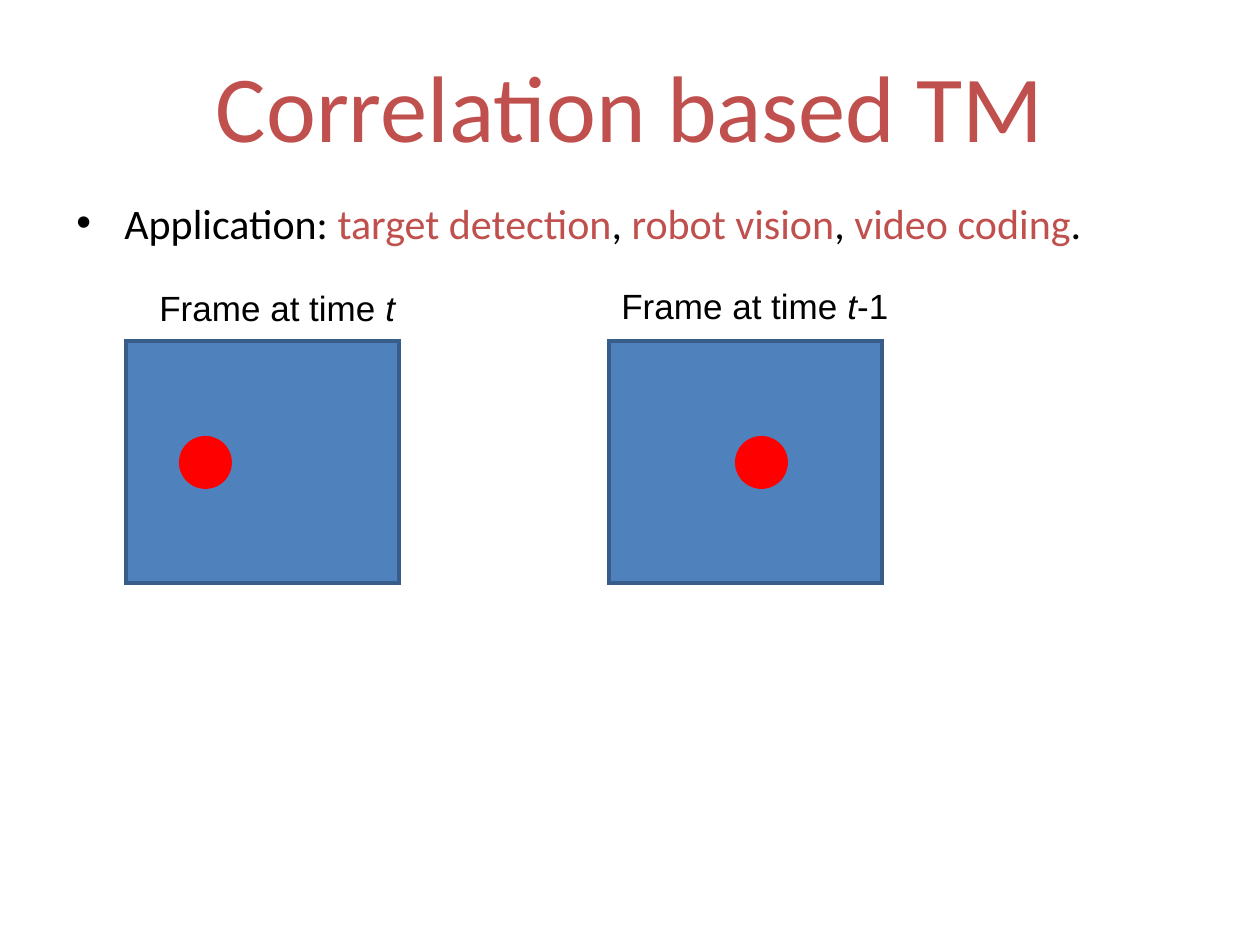
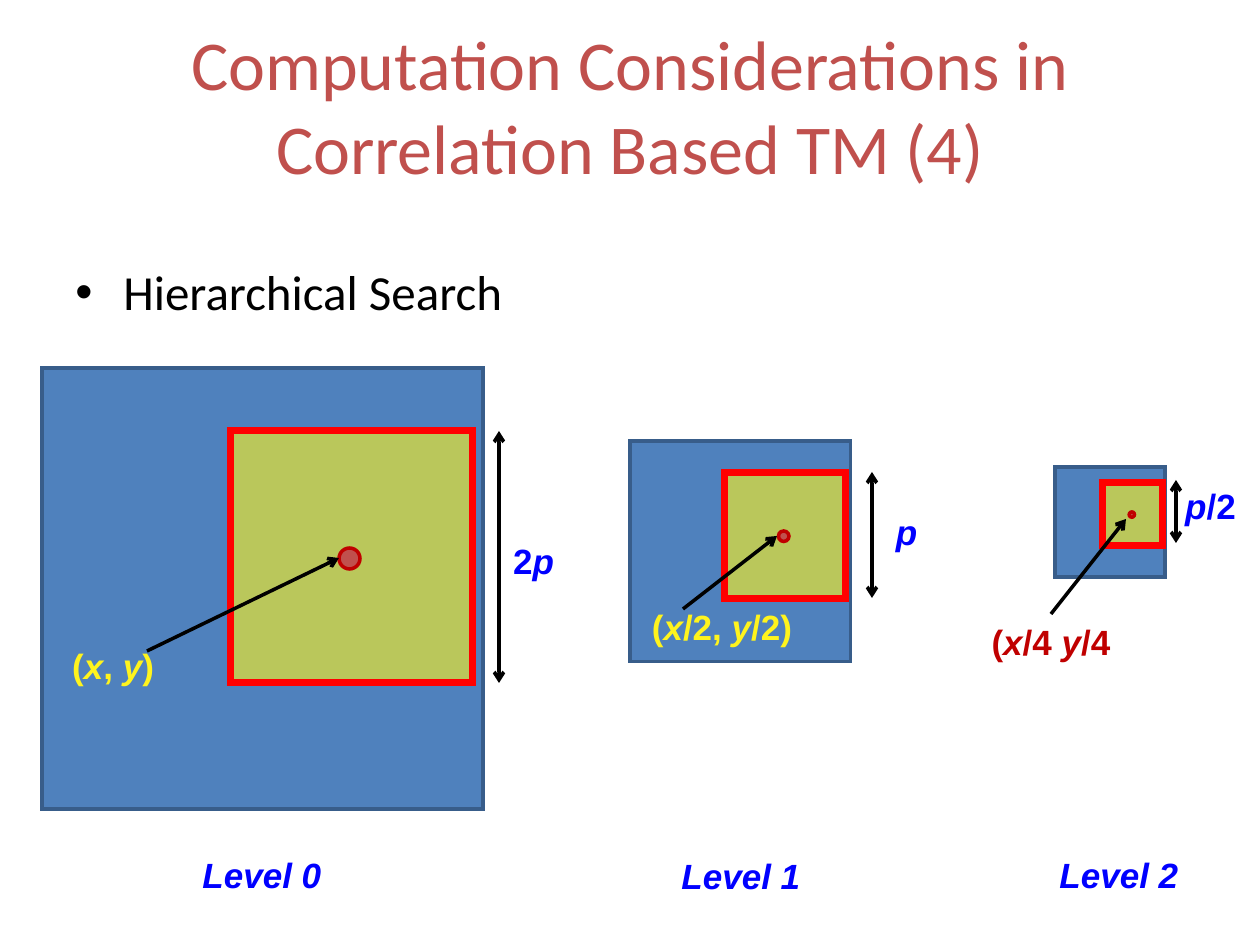
"""Builds two slides on correlation based template matching."""
from dataclasses import dataclass

from lxml.etree import SubElement
from pptx import Presentation
from pptx.dml.color import RGBColor
from pptx.enum.shapes import MSO_CONNECTOR, MSO_SHAPE
from pptx.enum.text import MSO_ANCHOR, PP_ALIGN
from pptx.oxml.ns import qn
from pptx.util import Emu, Pt


@dataclass(frozen=True)
class Theme:
    accent: str = "C0504D"
    ink: str = "000000"
    frame: str = "4F81BD"
    frame_line: str = "385D8A"
    window: str = "FFF41D"
    red: str = "FF0000"
    dark_red: str = "C00000"
    blue: str = "0000FF"
    heading_font: str = "Calibri"
    label_font: str = "Arial"
    label_size: int = 20
    line: int = 2
    window_line: int = 4
    window_opacity: int = 61


THEME = Theme()
PIXELS_PER_INCH = 126
SLIDE_SIZE = (1260, 945)
TITLE_BOX = (21, 42, 1218, 126)
BULLET_INDENT = 48

MOTION = {
    "title": "Correlation based TM",
    "title_size": 54,
    "bullet": "Application: *target detection*, *robot vision*, *video coding*.",
    "bullet_box": (64, 191, 1131, 92),
    "bullet_format": {"size": 24, "space_before": 6},
}
FRAME_SIZE = (273, 242)
TARGET_SIZE = 53
FRAMES = [
    {"corner": (126, 341), "target": (179, 436),
     "label": "Frame at time *t*", "label_box": (147, 280, 284, 55)},
    {"corner": (609, 341), "target": (735, 436),
     "label": "Frame at time *t*-1", "label_box": (609, 278, 315, 55)},
]

SEARCH = {
    "title": "Computation Considerations in Correlation Based TM (4)",
    "title_size": 40,
    "bullet": "Hierarchical Search",
    "bullet_box": (63, 262, 1131, 84),
    "bullet_format": {"size": 28, "space_before": 7, "line_spacing": 0.9},
}
IMAGE_PARTS = {
    "frame": (0, 0, 441, 441),
    "window": (189, 63, 242, 252),
    "dot": (297, 180, 21, 21),
}
LEVELS = [
    {"corner": (42, 368), "point": "(*x*, *y*)", "point_box": (42, 638, 142, 55),
     "point_color": THEME.window, "pointer": (147, 651, 339, 558),
     "range": "2*p*", "range_top": 533, "measure": (499, 431),
     "name": "*Level 0*", "name_corner": (141, 847)},
    {"corner": (630, 441), "point": "(*x*/2, *y*/2)", "point_box": (625, 599, 194, 55),
     "point_color": THEME.window, "pointer": (683, 609, 777, 536),
     "range": "*p*", "range_top": 504, "measure": (872, 472),
     "name": "*Level 1*", "name_corner": (620, 848)},
    {"corner": (1055, 467), "point": "(*x*/4 *y*/4", "point_box": (954, 614, 194, 55),
     "point_color": THEME.dark_red, "pointer": (1051, 614, 1126, 519),
     "range": "*p*/2", "range_top": 478, "measure": (1176, 480),
     "name": "*Level 2*", "name_corner": (998, 847)},
]
RANGE_SIZE = (79, 55)
RANGE_OFFSET = 5
NAME_SIZE = (242, 55)


def px(length):
    """Turn pixels into EMU."""
    return Emu(round(length * 914400 / PIXELS_PER_INCH))


def color(value):
    """Turn a hex string into a colour."""
    return RGBColor.from_string(value)


def add_text(slide, text, box, *, size=THEME.label_size, font=THEME.label_font,
             fill=THEME.ink, emphasis=None, bold=False, align=PP_ALIGN.LEFT,
             anchor=MSO_ANCHOR.TOP, space_before=0, line_spacing=None, bullet=False):
    """Add a text box; starred parts take the emphasis colour, or else italics."""
    frame = slide.shapes.add_textbox(*map(px, box)).text_frame
    frame.word_wrap = True
    frame.vertical_anchor = anchor
    paragraph = frame.paragraphs[0]
    paragraph.alignment = align
    paragraph.space_before = Pt(space_before)
    if line_spacing:
        paragraph.line_spacing = line_spacing
    if bullet:
        properties = paragraph._p.get_or_add_pPr()
        properties.set("marL", str(px(BULLET_INDENT)))
        properties.set("indent", str(-px(BULLET_INDENT)))
        SubElement(properties, qn("a:buFont"), typeface="Arial")
        SubElement(properties, qn("a:buChar"), char="•")
    for index, part in enumerate(text.split("*")):
        if not part:
            continue
        marked = index % 2 == 1
        run = paragraph.add_run()
        run.text = part
        run.font.name = font
        run.font.size = Pt(size)
        run.font.bold = bold
        run.font.italic = marked and emphasis is None
        run.font.color.rgb = color(emphasis if marked and emphasis else fill)


def add_figure(slide, preset, box, fill, line=None, width=THEME.line, opacity=None):
    """Add a filled preset shape with sharp corners."""
    shape = slide.shapes.add_shape(preset, *map(px, box))
    shape.shadow.inherit = False
    shape.fill.solid()
    shape.fill.fore_color.rgb = color(fill)
    if opacity:
        fill_color = shape._element.spPr.find(qn("a:solidFill"))[0]
        SubElement(fill_color, qn("a:alpha"), val=str(opacity * 1000))
    if line:
        shape.line.color.rgb = color(line)
        shape.line.width = Pt(width)
        SubElement(shape.line._get_or_add_ln(), qn("a:miter"), lim="800000")
    else:
        shape.line.fill.background()


def add_arrow(slide, ends, double=False):
    """Add a straight arrow with one or two heads."""
    connector = slide.shapes.add_connector(MSO_CONNECTOR.STRAIGHT, *map(px, ends))
    connector.line.color.rgb = color(THEME.ink)
    connector.line.width = Pt(THEME.line)
    outline = connector.line._get_or_add_ln()
    for tag in ("a:headEnd", "a:tailEnd") if double else ("a:tailEnd",):
        SubElement(outline, qn(tag), type="arrow")
    SubElement(connector._element.spPr, qn("a:effectLst"))


def add_slide(presentation, content):
    """Add a blank slide with its title and bullet."""
    slide = presentation.slides.add_slide(presentation.slide_layouts[6])
    add_text(slide, content["title"], TITLE_BOX, size=content["title_size"],
             font=THEME.heading_font, fill=THEME.accent,
             align=PP_ALIGN.CENTER, anchor=MSO_ANCHOR.MIDDLE)
    add_text(slide, content["bullet"], content["bullet_box"], font=THEME.heading_font,
             emphasis=THEME.accent, align=PP_ALIGN.JUSTIFY, bullet=True,
             **content["bullet_format"])
    return slide


def add_frame(slide, frame):
    """Draw a video frame with its moving target."""
    add_figure(slide, MSO_SHAPE.RECTANGLE, (*frame["corner"], *FRAME_SIZE),
               THEME.frame, THEME.frame_line)
    add_figure(slide, MSO_SHAPE.OVAL, (*frame["target"], TARGET_SIZE, TARGET_SIZE), THEME.red)
    add_text(slide, frame["label"], frame["label_box"])


def add_level(slide, number, level):
    """Draw one search level, halved in size at each step."""
    scale = 2 ** number
    left, top = level["corner"]
    boxes = {
        name: (left + x / scale, top + y / scale, width / scale, height / scale)
        for name, (x, y, width, height) in IMAGE_PARTS.items()
    }
    add_figure(slide, MSO_SHAPE.RECTANGLE, boxes["frame"], THEME.frame, THEME.frame_line)
    add_figure(slide, MSO_SHAPE.RECTANGLE, boxes["window"], THEME.window, THEME.red,
               THEME.window_line, THEME.window_opacity)
    add_figure(slide, MSO_SHAPE.OVAL, boxes["dot"], THEME.accent, THEME.dark_red)
    add_arrow(slide, level["pointer"])
    x, y = level["measure"]
    add_arrow(slide, (x, y, x, y + boxes["window"][3]), double=True)
    labels = [
        (level["point"], level["point_box"], level["point_color"]),
        (level["range"], (x - RANGE_OFFSET, level["range_top"], *RANGE_SIZE), THEME.blue),
        (level["name"], (*level["name_corner"], *NAME_SIZE), THEME.blue),
    ]
    for text, box, fill in labels:
        add_text(slide, text, box, fill=fill, bold=True, align=PP_ALIGN.CENTER)


def main():
    """Build and save the presentation."""
    presentation = Presentation()
    presentation.slide_width, presentation.slide_height = map(px, SLIDE_SIZE)
    motion_slide = add_slide(presentation, MOTION)
    for frame in FRAMES:
        add_frame(motion_slide, frame)
    search_slide = add_slide(presentation, SEARCH)
    for number, level in enumerate(LEVELS):
        add_level(search_slide, number, level)
    presentation.save("out.pptx")


if __name__ == "__main__":
    main()
